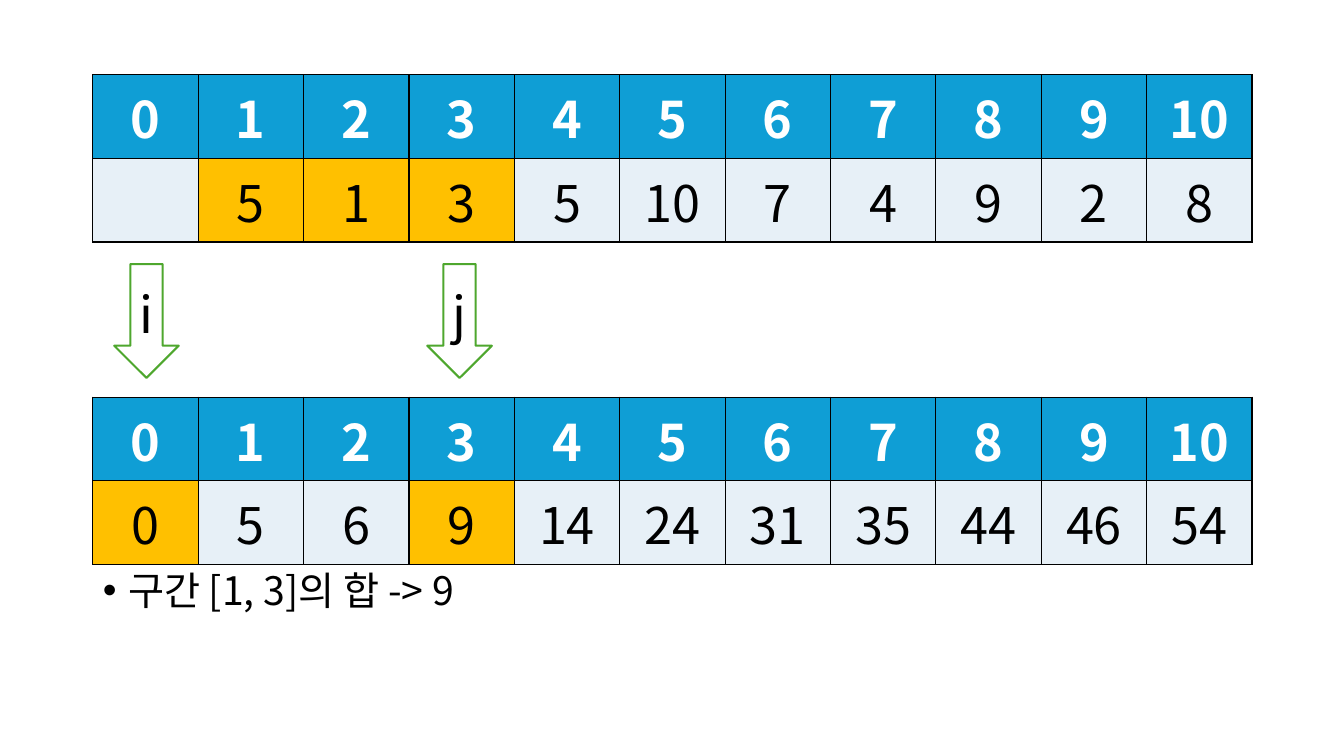
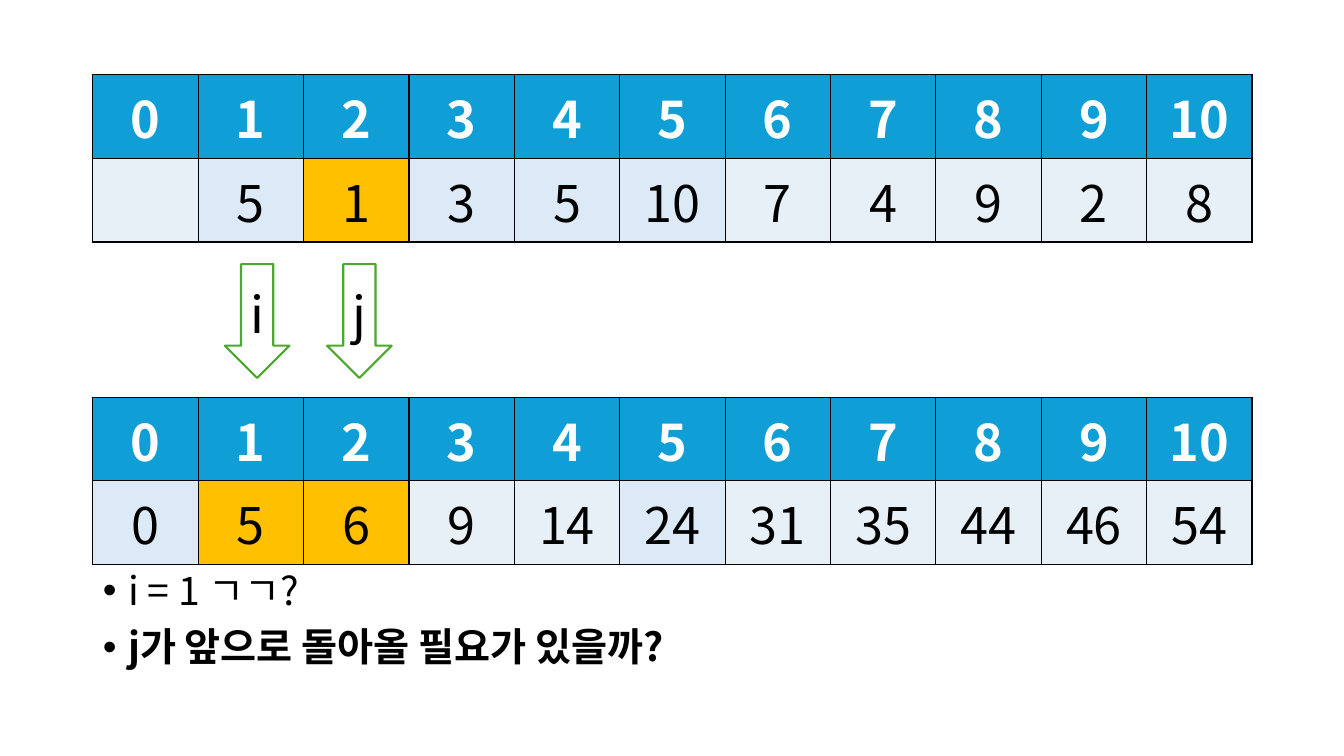
import pptx
import pptx.dml.color
import pptx.enum.shapes
import pptx.enum.text
import pptx.oxml.ns
import pptx.util
from lxml import etree

RGBColor = pptx.dml.color.RGBColor
Inches = pptx.util.Inches
Pt = pptx.util.Pt
qn = pptx.oxml.ns.qn

WHITE = RGBColor(0xFF, 0xFF, 0xFF)
BLACK = RGBColor(0x00, 0x00, 0x00)
HEADER_BLUE = RGBColor(0x0F, 0x9E, 0xD5)
CELL_PALE = RGBColor(0xE7, 0xF0, 0xF7)
CELL_SOFT = RGBColor(0xDC, 0xEA, 0xF7)
HIGHLIGHT = RGBColor(0xFF, 0xC0, 0x00)
ARROW_GREEN = RGBColor(0x4E, 0xA7, 0x2E)

FONT = "Noto Sans CJK KR"
COLUMNS = 11
GRID_LEFT, GRID_WIDTH = 0.92, 11.5
COLUMN = GRID_WIDTH / COLUMNS
ROW = 0.83
VALUES_TOP, ARROW_TOP, SUMS_TOP, NOTES_TOP = 0.74, 2.62, 3.94, 5.62
ARROW_WIDTH, ARROW_HEIGHT = 0.64, 1.13
NOTES_HEIGHT = 1.14

VALUES = ["", 5, 1, 3, 5, 10, 7, 4, 9, 2, 8]
PREFIX_SUMS = [0, 5, 6, 9, 14, 24, 31, 35, 44, 46, 54]


class Deck:
    def __init__(self):
        self.presentation = pptx.Presentation()
        self.presentation.slide_width = Inches(13.33)
        self.presentation.slide_height = Inches(7.5)
        self.slide = None

    def add_slide(self):
        """Start a slide that has a body placeholder but no title."""
        layout = self.presentation.slide_layouts[1]
        self.slide = self.presentation.slides.add_slide(layout)
        title = self.slide.shapes.title.element
        title.getparent().remove(title)

    def add_run(self, paragraph, text, size, color=BLACK, bold=False):
        run = paragraph.add_run()
        run.text = text
        run.font.size = Pt(size)
        run.font.bold = bold
        run.font.color.rgb = color
        run.font.name = FONT
        east_asian = etree.Element(qn("a:ea"), typeface=FONT)
        run.font._element.find(qn("a:latin")).addnext(east_asian)

    def add_borders(self, cell):
        properties = cell._tc.get_or_add_tcPr()
        for side in ("lnL", "lnR", "lnT", "lnB"):
            line = etree.SubElement(properties, qn("a:" + side), w=str(Pt(1)))
            fill = etree.SubElement(line, qn("a:solidFill"))
            etree.SubElement(fill, qn("a:srgbClr"), val=str(BLACK))

    def fill_cell(self, cell, text, fill, color, bold):
        self.add_borders(cell)
        cell.fill.solid()
        cell.fill.fore_color.rgb = fill
        cell.vertical_anchor = pptx.enum.text.MSO_ANCHOR.MIDDLE
        if text:
            paragraph = cell.text_frame.paragraphs[0]
            paragraph.alignment = pptx.enum.text.PP_ALIGN.CENTER
            self.add_run(paragraph, text, 36, color, bold)

    def add_array(self, top, values, highlighted, soft=()):
        """Draw an array as a row of indices above a row of values."""
        frame = self.slide.shapes.add_table(
            2, COLUMNS, Inches(GRID_LEFT), Inches(top),
            Inches(GRID_WIDTH), Inches(2 * ROW))
        table = frame.table
        for column in table.columns:
            column.width = Inches(COLUMN)
        for row in table.rows:
            row.height = Inches(ROW)
        for index, value in enumerate(values):
            fill = CELL_PALE
            if index in highlighted:
                fill = HIGHLIGHT
            elif index in soft:
                fill = CELL_SOFT
            self.fill_cell(table.cell(0, index), str(index), HEADER_BLUE, WHITE, True)
            self.fill_cell(table.cell(1, index), str(value), fill, BLACK, False)

    def add_pointer(self, label, position):
        """Draw a labelled arrow centred at a position counted in columns."""
        left = GRID_LEFT + position * COLUMN - ARROW_WIDTH / 2
        shape = self.slide.shapes.add_shape(
            pptx.enum.shapes.MSO_SHAPE.DOWN_ARROW, Inches(left), Inches(ARROW_TOP),
            Inches(ARROW_WIDTH), Inches(ARROW_HEIGHT))
        shape.shadow.inherit = False
        shape.fill.solid()
        shape.fill.fore_color.rgb = WHITE
        shape.line.color.rgb = ARROW_GREEN
        shape.line.width = Pt(1.5)
        frame = shape.text_frame
        frame.word_wrap = False
        frame.margin_left = frame.margin_right = 0
        frame.vertical_anchor = pptx.enum.text.MSO_ANCHOR.MIDDLE
        paragraph = frame.paragraphs[0]
        paragraph.alignment = pptx.enum.text.PP_ALIGN.CENTER
        self.add_run(paragraph, label, 36)

    def add_notes_below(self, notes):
        """Fill the body with bullets, given as (text, bold) pairs."""
        body = self.slide.placeholders[1]
        body.left, body.top = Inches(GRID_LEFT), Inches(NOTES_TOP)
        body.width, body.height = Inches(GRID_WIDTH), Inches(NOTES_HEIGHT)
        frame = body.text_frame
        frame.word_wrap = True
        frame.auto_size = pptx.enum.text.MSO_AUTO_SIZE.NONE
        for index, (text, bold) in enumerate(notes):
            paragraph = frame.add_paragraph() if index else frame.paragraphs[0]
            properties = paragraph._p.get_or_add_pPr()
            properties.set("marL", str(Inches(0.25)))
            properties.set("indent", str(Inches(-0.25)))
            etree.SubElement(properties, qn("a:buFont"), typeface="Arial")
            etree.SubElement(properties, qn("a:buChar"), char="•")
            paragraph.line_spacing = 0.9
            paragraph.space_before = Pt(10 if index else 0)
            self.add_run(paragraph, text, 28, bold=bold)


def main():
    deck = Deck()

    deck.add_slide()
    deck.add_notes_below([("구간 [1, 3]의 합 -> 9", False)])
    deck.add_array(SUMS_TOP, PREFIX_SUMS, highlighted=(0, 3))
    deck.add_pointer("i", 0.51)
    deck.add_pointer("j", 3.48)
    deck.add_array(VALUES_TOP, VALUES, highlighted=(1, 2, 3))

    deck.add_slide()
    deck.add_notes_below([("i = 1 ㄱㄱ?", False),
                          ("j가 앞으로 돌아올 필요가 있을까?", True)])
    deck.add_array(SUMS_TOP, PREFIX_SUMS, highlighted=(1, 2), soft=(0, 5))
    deck.add_pointer("i", 1.56)
    deck.add_pointer("j", 2.53)
    deck.add_array(VALUES_TOP, VALUES, highlighted=(2,), soft=(1, 3, 4, 5))

    deck.presentation.save("out.pptx")


if __name__ == "__main__":
    main()
